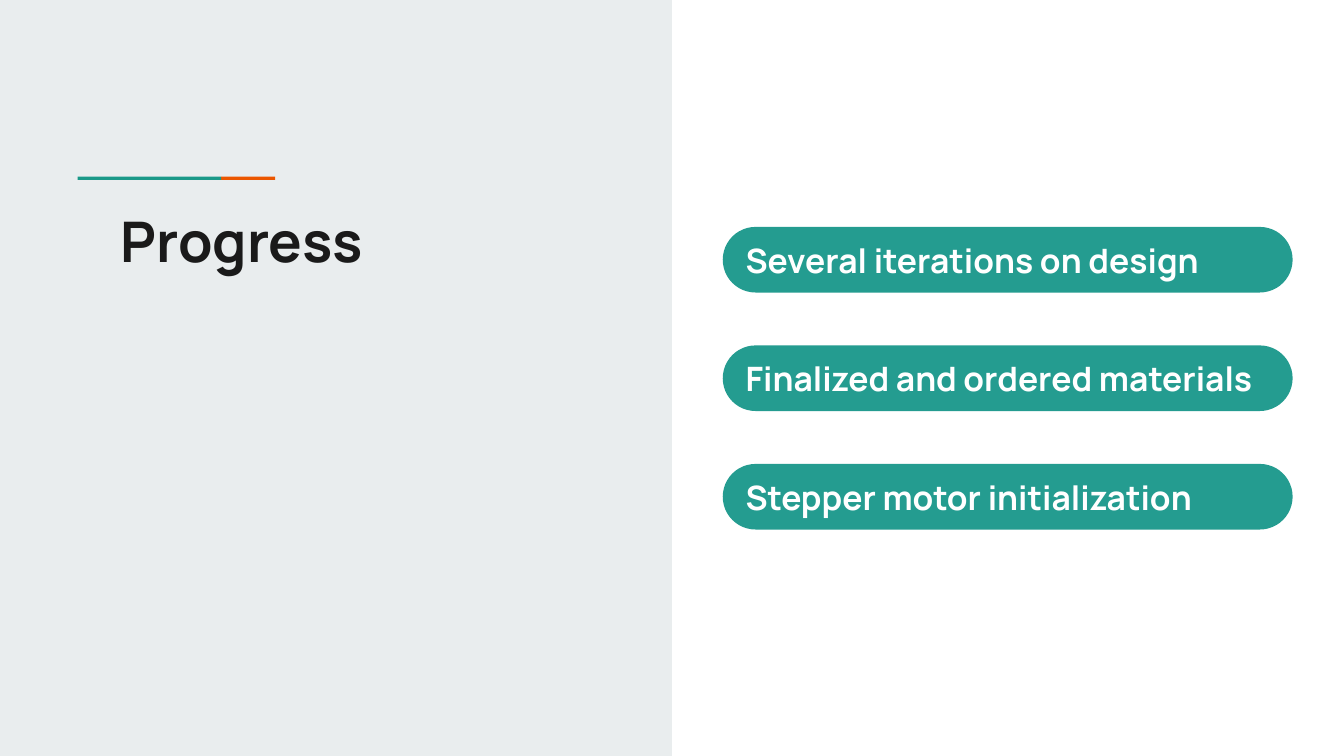
import pptx
import pptx.util
import pptx.dml.color
import pptx.enum.shapes
import pptx.enum.text

Cm = pptx.util.Cm
SHAPE = pptx.enum.shapes.MSO_SHAPE
ANCHOR = pptx.enum.text.MSO_ANCHOR
ALIGN = pptx.enum.text.PP_ALIGN

COLORS = {
    "panel": "E9EDEE",
    "teal": "1A9988",
    "orange": "EB5600",
    "pill": "249C90",
    "ink": "1A1A1A",
    "white": "FFFFFF",
}


class Deck:
    """Holds the style and the current slide."""

    font = "Manrope"
    inset = Cm(0.25)

    def __init__(self, width, height):
        self.prs = pptx.Presentation()
        self.prs.slide_width, self.prs.slide_height = Cm(width), Cm(height)
        self.s = self.prs.slides.add_slide(self.prs.slide_layouts[5])

    def color(self, name):
        return pptx.dml.color.RGBColor.from_string(COLORS[name])

    def set_text(self, sp, text, size, color, anchor):
        tf = sp.text_frame
        tf.word_wrap = True
        tf.auto_size = pptx.enum.text.MSO_AUTO_SIZE.NONE
        tf.vertical_anchor = anchor
        tf.margin_left = tf.margin_right = self.inset
        tf.margin_top = tf.margin_bottom = self.inset
        p = tf.paragraphs[0]
        p.text = text
        p.alignment = ALIGN.LEFT
        p.font.name = self.font
        p.font.size = pptx.util.Pt(size)
        p.font.bold = True
        p.font.color.rgb = self.color(color)

    def block(self, left, top, width, height, fill, kind=SHAPE.RECTANGLE):
        sp = self.s.shapes.add_shape(kind, Cm(left), Cm(top), Cm(width), Cm(height))
        sp.shadow.inherit = False
        sp.fill.solid()
        sp.fill.fore_color.rgb = self.color(fill)
        sp.line.fill.background()
        return sp

    def pill(self, left, top, width, height, text):
        sp = self.block(left, top, width, height, "pill", SHAPE.ROUNDED_RECTANGLE)
        sp.adjustments[0] = 0.5
        self.set_text(sp, text, 18, "white", ANCHOR.MIDDLE)

    def title(self, left, top, width, height, text):
        sp = self.s.shapes.title
        sp.left, sp.top, sp.width, sp.height = Cm(left), Cm(top), Cm(width), Cm(height)
        self.set_text(sp, text, 30, "ink", ANCHOR.TOP)
        # Bring the title in front of the panel drawn before it
        sp.element.getparent().append(sp.element)


def main():
    deck = Deck(25.4, 14.29)
    deck.block(0, 0, 12.7, 14.29, "panel")
    deck.block(4.18, 3.34, 1.02, 0.06, "orange")
    deck.block(1.47, 3.34, 2.71, 0.06, "teal")
    deck.title(2.03, 3.66, 9.17, 4.7, "Progress")

    steps = [
        "Several iterations on design",
        "Finalized and ordered materials",
        "Stepper motor initialization",
    ]
    for i, step in enumerate(steps):
        deck.pill(13.66, 4.29 + 2.24 * i, 10.77, 1.24, step)
    deck.prs.save("out.pptx")


if __name__ == "__main__":
    main()
